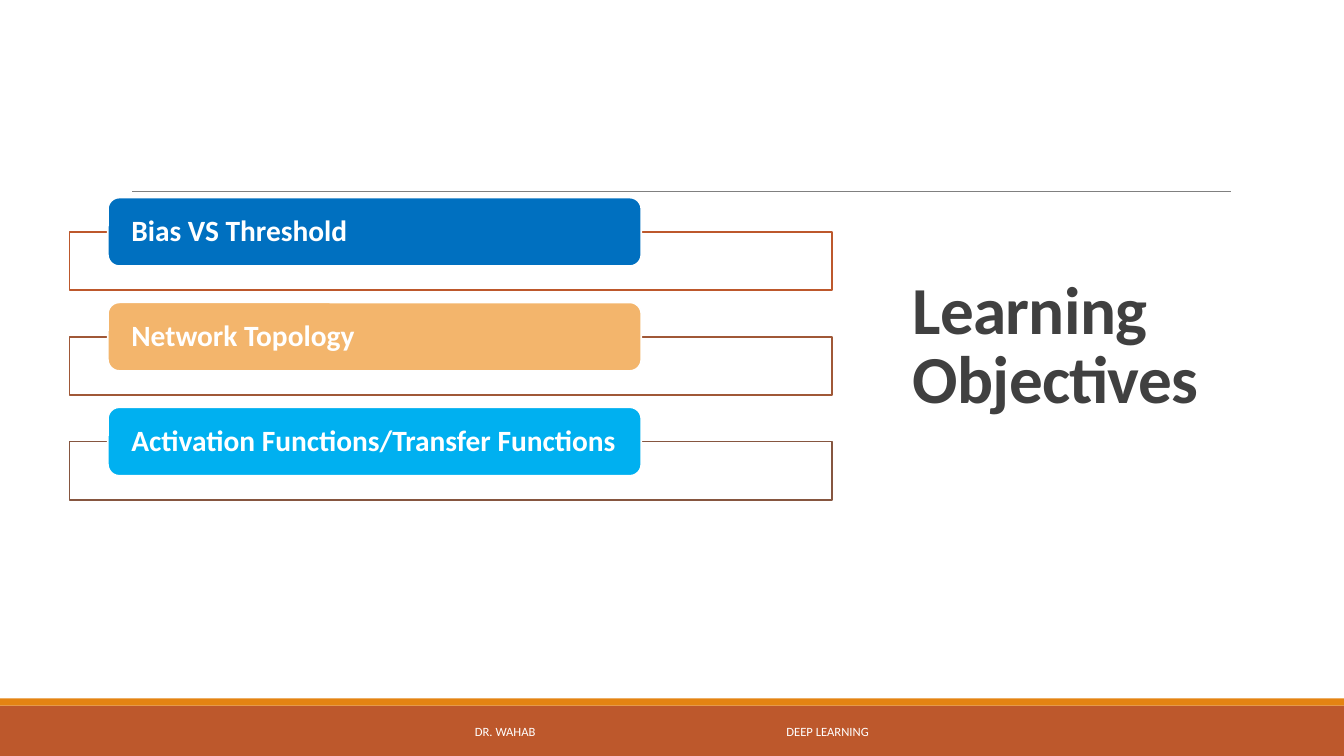
from pptx import Presentation
from pptx.dml.color import RGBColor
from pptx.enum.shapes import MSO_CONNECTOR, MSO_SHAPE
from pptx.enum.text import MSO_ANCHOR, MSO_AUTO_SIZE, PP_ALIGN
from pptx.oxml.ns import qn
from pptx.util import Inches, Pt
from lxml.etree import SubElement

COLORS = {
    "white": "FFFFFF", "ink": "404040", "rule": "808080",
    "rust": "BD582C", "orange": "E48312", "sienna": "A05837", "brown": "865640",
    "blue": "0070C0", "sand": "F3B56C", "sky": "00B0F0",
}
OBJECTIVES = [
    ("Bias VS Threshold", "blue", "rust"),
    ("Network Topology", "sand", "sienna"),
    ("Activation Functions/Transfer Functions", "sky", "brown"),
]
WIDTH, HEIGHT = 13.33, 7.5
FIRST_ROW, ROW_PITCH = 1.96, 1.04
FRAME_DROP = 0.34


def rgb(name):
    return RGBColor.from_string(COLORS[name])


def box(slide, preset, area, fill, line=None):
    shape = slide.shapes.add_shape(preset, *map(Inches, area))
    shape.shadow.inherit = False
    shape.fill.solid()
    shape.fill.fore_color.rgb = rgb(fill)
    if line:
        shape.line.color.rgb = rgb(line)
        shape.line.width = Pt(1.25)
    else:
        shape.line.fill.background()
    return shape


def style(paragraph, size, color, bold=False):
    paragraph.alignment = PP_ALIGN.LEFT
    for run in paragraph.runs:
        run.font.name = "Calibri"
        run.font.size = Pt(size)
        run.font.bold = bold
        run.font.color.rgb = rgb(color)


def set_text(shape, text, size, color, bold=False):
    frame = shape.text_frame
    frame.text = text
    frame.word_wrap = True
    frame.auto_size = MSO_AUTO_SIZE.NONE
    frame.vertical_anchor = MSO_ANCHOR.MIDDLE
    style(frame.paragraphs[0], size, color, bold)
    return frame


def add_rule(slide):
    rule = slide.shapes.add_connector(
        MSO_CONNECTOR.STRAIGHT, Inches(1.31), Inches(1.9), Inches(12.21), Inches(1.9))
    rule.line.color.rgb = rgb("rule")
    rule.line.width = Pt(0.5)
    SubElement(rule._element.spPr, qn("a:effectLst"))


def add_title(slide):
    title = slide.shapes.title
    title.left, title.top, title.width, title.height = map(Inches, (8.95, 0.69, 3.69, 5.53))
    paragraph = set_text(title, "Learning Objectives", 48, "ink", True).paragraphs[0]
    paragraph.line_spacing = 0.85
    paragraph.runs[0].font._element.set("spc", "-50")


def add_footer(slide):
    footer = slide.shapes.add_textbox(*map(Inches, (4.03, 7.06, 5.27, 0.4)))
    frame = set_text(footer, "DR. WAHAB\tDEEP LEARNING", 9, "white")
    frame.margin_left = Inches(0.68)
    paragraph = frame.paragraphs[0]
    paragraph.space_after = Pt(6)
    tabs = SubElement(paragraph._p.get_or_add_pPr(), qn("a:tabLst"))
    SubElement(tabs, qn("a:tab"), pos=str(Inches(3.09)), algn="l")


def add_objective(slide, row, text, fill, outline):
    top = FIRST_ROW + row * ROW_PITCH
    frame = box(slide, MSO_SHAPE.RECTANGLE, (0.69, top + FRAME_DROP, 7.56, 0.58), "white", outline)
    white = frame._element.spPr.find(qn("a:solidFill")).find(qn("a:srgbClr"))
    SubElement(white, qn("a:alpha"), val="90000")
    label = box(slide, MSO_SHAPE.ROUNDED_RECTANGLE, (1.07, top, 5.29, 0.68), fill, "white")
    label_text = set_text(label, text, 21, "white", True)
    label_text.margin_left, label_text.margin_right = Inches(0.2), Inches(0.1)
    label_text.margin_top = label_text.margin_bottom = 0
    label_text.paragraphs[0].line_spacing = 0.9


def main():
    deck = Presentation()
    deck.slide_width, deck.slide_height = Inches(WIDTH), Inches(HEIGHT)
    slide = deck.slides.add_slide(deck.slide_layouts[5])
    box(slide, MSO_SHAPE.RECTANGLE, (0, 7, WIDTH, 0.5), "rust")
    box(slide, MSO_SHAPE.RECTANGLE, (0, 6.93, WIDTH, 0.07), "orange")
    add_rule(slide)
    add_title(slide)
    add_footer(slide)
    for row, objective in enumerate(OBJECTIVES):
        add_objective(slide, row, *objective)
    deck.save("out.pptx")


if __name__ == "__main__":
    main()
